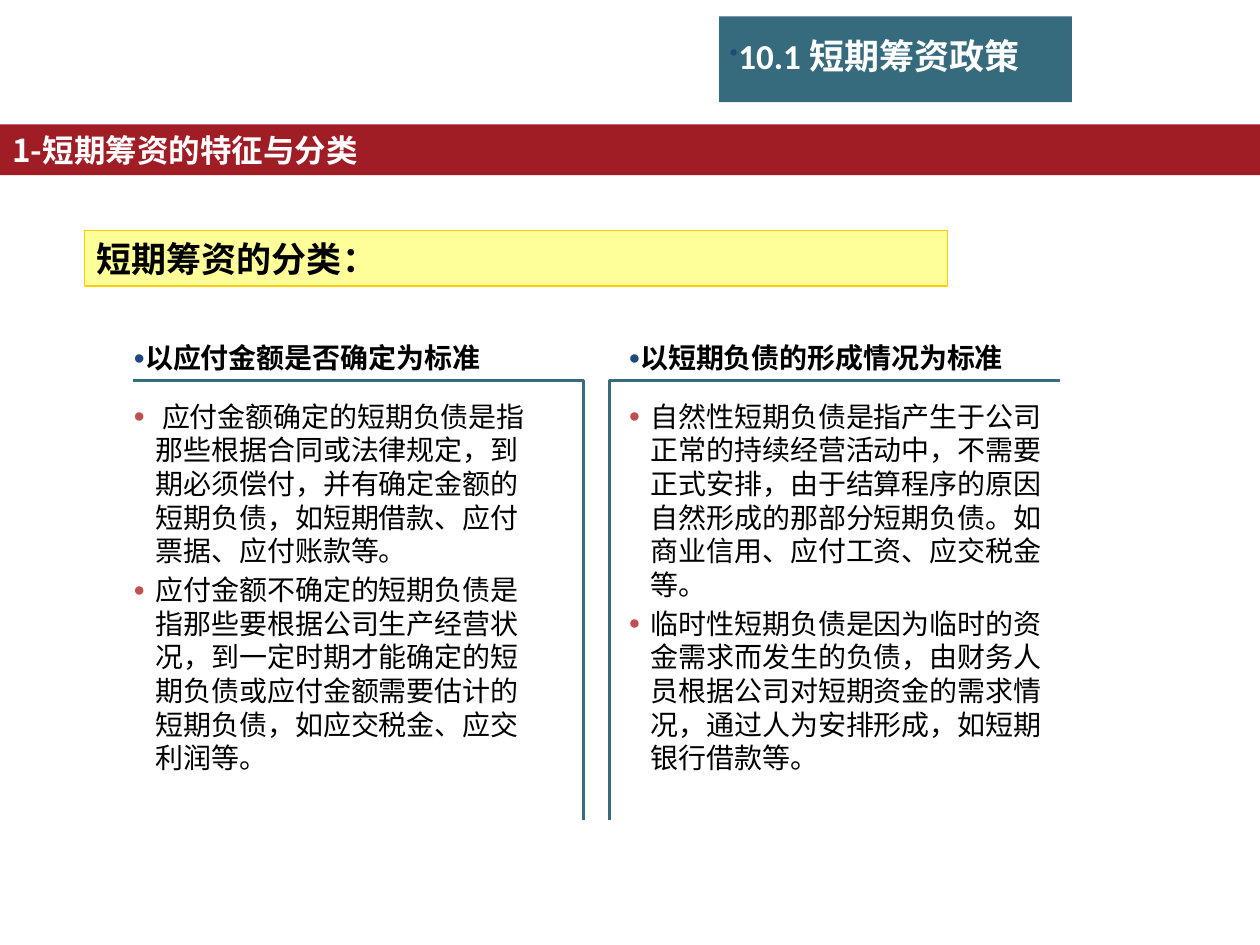
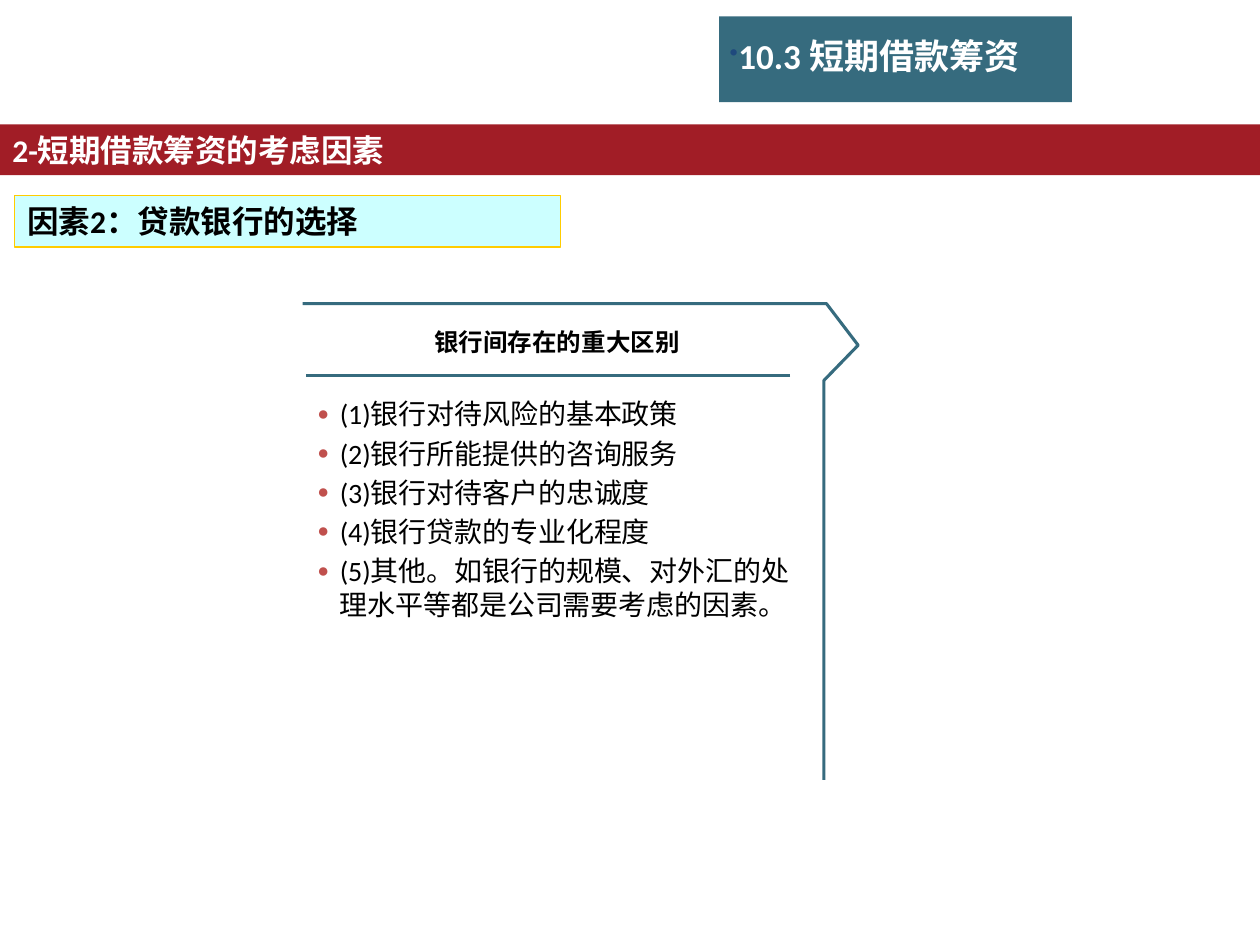
import pptx
import pptx.util
import pptx.dml.color
import pptx.enum.shapes
import pptx.enum.text
import pptx.oxml.ns
import lxml.etree

Cm, Pt = pptx.util.Cm, pptx.util.Pt
RGBColor = pptx.dml.color.RGBColor
ALIGN = pptx.enum.text.PP_ALIGN
ANCHOR = pptx.enum.text.MSO_ANCHOR
qn = pptx.oxml.ns.qn

TEAL = RGBColor(0x36, 0x6B, 0x7E)
CRIMSON = RGBColor(0xA1, 0x1D, 0x26)
NAVY = RGBColor(0x1F, 0x49, 0x7D)
BRICK = RGBColor(0xC0, 0x50, 0x4D)
YELLOW = RGBColor(0xFF, 0xFF, 0x99)
CYAN = RGBColor(0xCC, 0xFF, 0xFF)
GOLD = RGBColor(0xFF, 0xCC, 0x00)
BLACK = RGBColor(0, 0, 0)
WHITE = RGBColor(255, 255, 255)


def set_bullet(paragraph, char, color, indent):
    """Give a paragraph a coloured bullet, or none when char is empty."""
    props = paragraph._p.get_or_add_pPr()
    props.set("marL", str(Cm(indent)))
    props.set("indent", str(-Cm(indent)))
    if not char:
        lxml.etree.SubElement(props, qn("a:buNone"))
        return
    tint = lxml.etree.SubElement(props, qn("a:buClr"))
    lxml.etree.SubElement(tint, qn("a:srgbClr"), val=str(color))
    lxml.etree.SubElement(props, qn("a:buSzPct"), val="70000")
    lxml.etree.SubElement(props, qn("a:buChar"), char=char)


def write_text(frame, text, size=16, color=BLACK, bold=False, font="Calibri",
               align=ALIGN.LEFT, anchor=ANCHOR.MIDDLE, inset=0.0, before=0,
               level=0, bullet="", bullet_color=NAVY, indent=0.0):
    """Fill a text frame, one paragraph per line of text."""
    frame.word_wrap = True
    frame.auto_size = pptx.enum.text.MSO_AUTO_SIZE.NONE
    frame.vertical_anchor = anchor
    frame.margin_left = frame.margin_right = Cm(inset)
    frame.margin_top = frame.margin_bottom = 0
    for number, line in enumerate(text.split("\n")):
        paragraph = frame.add_paragraph() if number else frame.paragraphs[0]
        paragraph.alignment = align
        paragraph.level = level
        paragraph.space_before = Pt(before)
        set_bullet(paragraph, bullet, bullet_color, indent)
        run = paragraph.add_run()
        run.text = line
        run.font.size = Pt(size)
        run.font.bold = bold
        run.font.color.rgb = color
        run.font.name = font
        # The same typeface serves the Chinese characters
        lxml.etree.SubElement(run._r.get_or_add_rPr(), qn("a:ea"), typeface=font)


class Deck:
    LINE_WIDTH = Pt(1.75)

    def __init__(self):
        self.show = pptx.Presentation()
        self.show.slide_width, self.show.slide_height = Cm(25.4), Cm(19.05)
        self.slide = None

    def new_slide(self, layout, title, topic, topic_font="Calibri"):
        """Start a slide with its title tile and topic band."""
        self.slide = self.show.slides.add_slide(self.show.slide_layouts[layout])
        tile = self.box(14.5, 0.33, 7.11, 1.73, TEAL)
        heading = self.placeholder(0, 14.71, 0.69, 6.99, 0.86)
        heading.element.addprevious(tile.element)
        write_text(heading.text_frame, title, size=20, color=WHITE, bold=True,
                   bullet="•")
        band = self.box(0, 2.51, 25.4, 1.02, CRIMSON)
        write_text(band.text_frame, topic, size=18, color=WHITE, bold=True,
                   font=topic_font, inset=0.25)

    def placeholder(self, index, left, top, width, height):
        holder = self.slide.placeholders[index]
        holder.left, holder.top = Cm(left), Cm(top)
        holder.width, holder.height = Cm(width), Cm(height)
        return holder

    def box(self, left, top, width, height, fill, border=None):
        shape = self.slide.shapes.add_shape(
            pptx.enum.shapes.MSO_SHAPE.RECTANGLE,
            Cm(left), Cm(top), Cm(width), Cm(height))
        shape.shadow.inherit = False
        shape.fill.solid()
        shape.fill.fore_color.rgb = fill
        if border is None:
            shape.line.fill.background()
        else:
            shape.line.color.rgb = border
            shape.line.width = Pt(0.75)
        return shape

    def label(self, text, left, top, width, height, fill, size):
        shape = self.box(left, top, width, height, fill, GOLD)
        write_text(shape.text_frame, text, size=size, bold=True, inset=0.25)

    def bullets(self, index, text, left, top, width, height):
        holder = self.placeholder(index, left, top, width, height)
        write_text(holder.text_frame, text, anchor=ANCHOR.TOP, before=3.2,
                   level=1, bullet="●", bullet_color=BRICK, indent=0.45)

    def subheading(self, index, text, left, top, width, height):
        holder = self.placeholder(index, left, top, width, height)
        write_text(holder.text_frame, text, bold=True, bullet="●")

    def caption(self, text, left, top, width, height):
        frame = self.slide.shapes.add_textbox(
            Cm(left), Cm(top), Cm(width), Cm(height)).text_frame
        write_text(frame, text, size=14, bold=True, align=ALIGN.CENTER)

    def outline(self, *points):
        """Draw an open line through the points."""
        corners = [(Cm(x), Cm(y)) for x, y in points]
        builder = self.slide.shapes.build_freeform(*corners[0])
        builder.add_line_segments(corners[1:], close=False)
        shape = builder.convert_to_shape()
        shape.shadow.inherit = False
        shape.fill.background()
        shape.line.color.rgb = TEAL
        shape.line.width = self.LINE_WIDTH

    def rule(self, x1, x2, y):
        line = self.slide.shapes.add_connector(
            pptx.enum.shapes.MSO_CONNECTOR.STRAIGHT, Cm(x1), Cm(y), Cm(x2), Cm(y))
        line.line.color.rgb = TEAL
        line.line.width = self.LINE_WIDTH
        lxml.etree.SubElement(line.element.spPr, qn("a:effectLst"))


deck = Deck()

# Slide 1: two ways to classify short-term financing
deck.new_slide(4, "10.1 短期筹资政策", "1-短期筹资的特征与分类", "Noto Sans CJK SC")
deck.label("短期筹资的分类：", 1.7, 4.65, 17.4, 1.12, YELLOW, 20)

# Each standard: heading, items, text left, list width, bracket outer and inner x
standards = [
    ("以应付金额是否确定为标准",
     " 应付金额确定的短期负债是指那些根据合同或法律规定，到期必须偿付，"
     "并有确定金额的短期负债，如短期借款、应付票据、应付账款等。\n"
     "应付金额不确定的短期负债是指那些要根据公司生产经营状况，到一定时期才能确定的"
     "短期负债或应付金额需要估计的短期负债，如应交税金、应交利润等。",
     2.69, 7.92, 2.69, 11.76),
    ("以短期负债的形成情况为标准",
     "自然性短期负债是指产生于公司正常的持续经营活动中，不需要正式安排，由于结算程序的"
     "原因自然形成的那部分短期负债。如商业信用、应付工资、应交税金等。\n"
     "临时性短期负债是因为临时的资金需求而发生的负债，由财务人员根据公司对短期资金的"
     "需求情况，通过人为安排形成，如短期银行借款等。",
     12.67, 8.61, 21.36, 12.29),
]
for column, (standard, items, left, width, outer, inner) in enumerate(standards):
    deck.subheading(1 + 2 * column, standard, left, 6.86, 8.5, 0.69)
    deck.bullets(2 + 2 * column, items, left, 8.05, width, 7.59)
    deck.outline((outer, 7.67), (inner, 7.67), (inner, 16.54))

# Slide 2: choosing the lending bank
deck.new_slide(1, "10.3 短期借款筹资", "2-短期借款筹资的考虑因素")
deck.label("因素2：贷款银行的选择", 0.3, 3.94, 11, 1.04, CYAN, 18)
deck.outline((6.1, 6.12), (16.66, 6.12), (17.3, 6.96), (16.61, 7.67), (16.61, 15.72))
deck.caption("银行间存在的重大区别", 6.3, 6.6, 9.86, 0.58)
deck.rule(15.93, 6.17, 7.57)
deck.bullets(1, "(1)银行对待风险的基本政策\n(2)银行所能提供的咨询服务\n"
             "(3)银行对待客户的忠诚度\n(4)银行贷款的专业化程度\n"
             "(5)其他。如银行的规模、对外汇的处理水平等都是公司需要考虑的因素。",
             6.4, 8, 10.06, 4.62)

deck.show.save("out.pptx")
